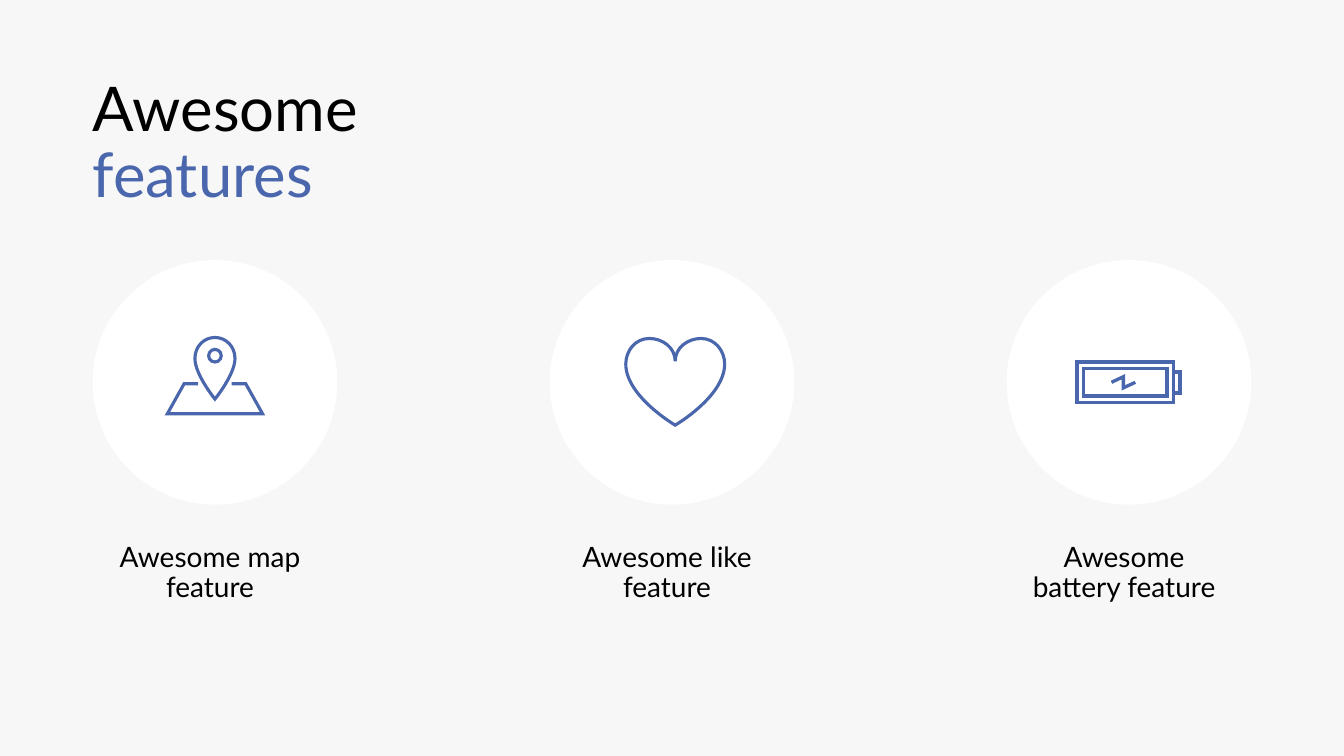
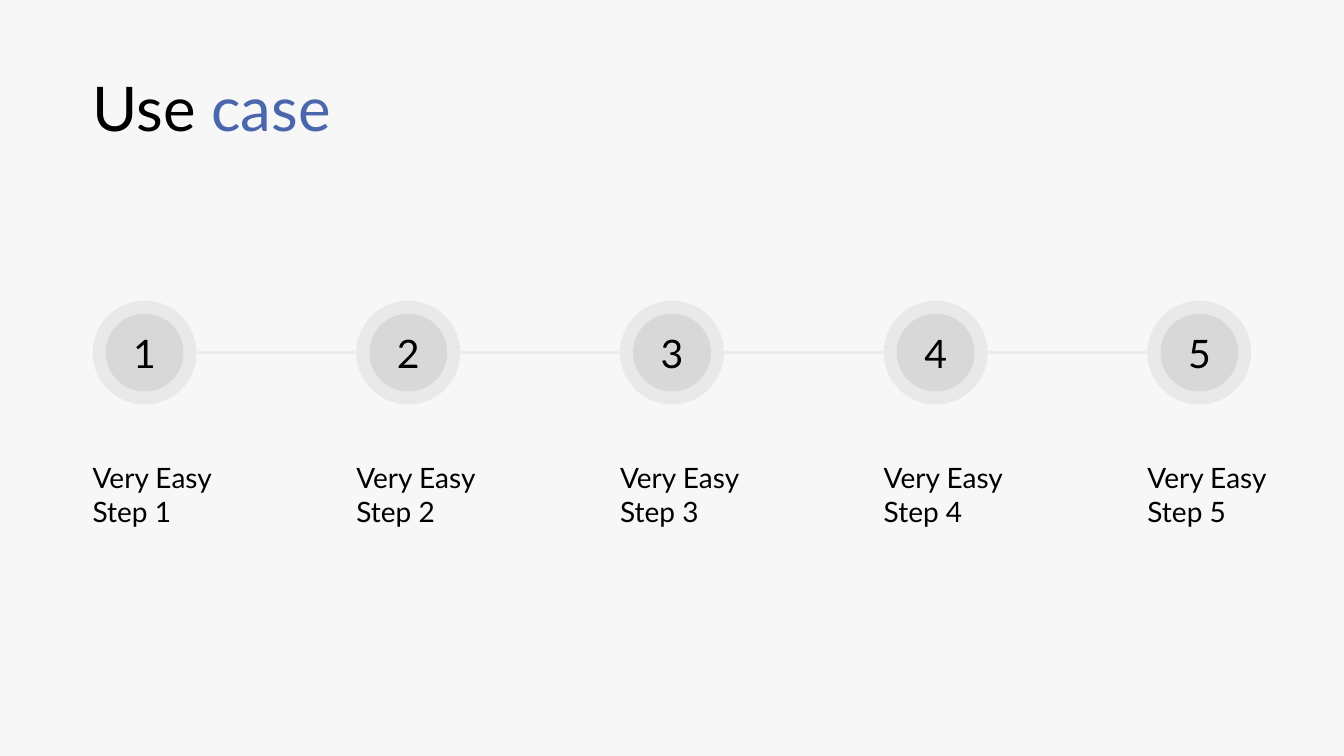
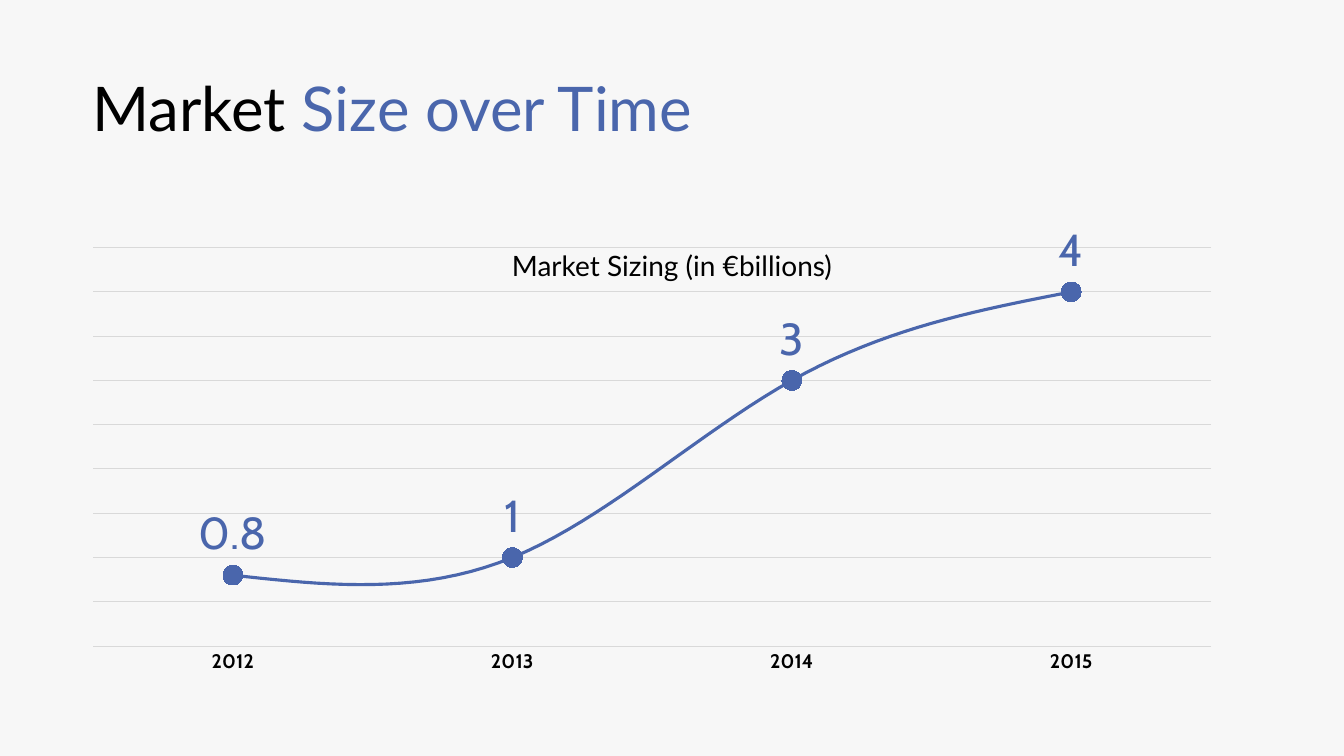
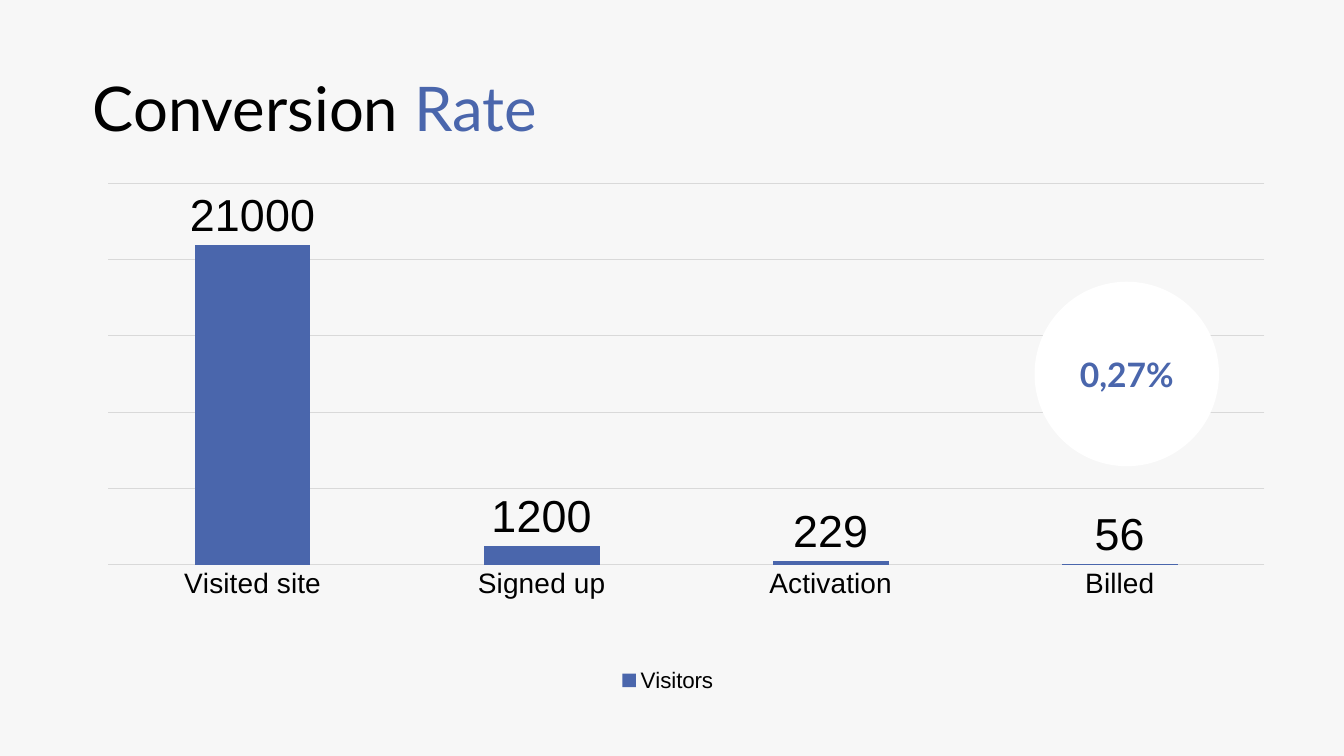
"""Build four pitch slides: features, use case, market size and conversion rate."""
from lxml import etree
from pptx import Presentation
from pptx.chart.data import CategoryChartData
from pptx.dml.color import RGBColor
from pptx.enum.chart import (XL_CHART_TYPE, XL_LABEL_POSITION, XL_LEGEND_POSITION,
                             XL_MARKER_STYLE, XL_TICK_LABEL_POSITION, XL_TICK_MARK)
from pptx.enum.shapes import MSO_CONNECTOR, MSO_SHAPE
from pptx.enum.text import MSO_ANCHOR, MSO_AUTO_SIZE, PP_ALIGN
from pptx.oxml.ns import qn
from pptx.util import Pt

COLORS = {"page": "F7F7F7", "accent": "4A66AC", "ink": "000000", "disc": "FFFFFF",
          "step": "D8D8D8", "link": "EDECEC", "grid": "D9D9D9"}
FONT = "Lato"
LEFT, RIGHT = 66.2, 893.8


def rgb(name):
    return RGBColor.from_string(COLORS[name])


def set_font(font, size, color="ink", name=FONT, bold=False):
    font.name, font.size, font.bold = name, Pt(size), bold
    font.color.rgb = rgb(color)


def set_frame(frame, left_inset=0):
    frame.word_wrap = True
    frame.auto_size = MSO_AUTO_SIZE.SHAPE_TO_FIT_TEXT
    frame.vertical_anchor = MSO_ANCHOR.TOP
    frame.margin_left, frame.margin_right = Pt(left_inset), Pt(7.2)
    frame.margin_top = frame.margin_bottom = Pt(3.6)


def add_text(slide, box, text, align=PP_ALIGN.LEFT, spacing=1.0, left_inset=0):
    frame = slide.shapes.add_textbox(*map(Pt, box)).text_frame
    set_frame(frame, left_inset)
    paragraph = frame.paragraphs[0]
    paragraph.text, paragraph.alignment, paragraph.line_spacing = text, align, spacing
    set_font(paragraph.font, 20)


def add_slide(prs, lead, accent, title_width=353):
    slide = prs.slides.add_slide(prs.slide_layouts[5])
    title = slide.shapes.title
    title.left, title.top, title.width, title.height = map(Pt, (LEFT, 52, title_width, 55))
    set_frame(title.text_frame)
    paragraph = title.text_frame.paragraphs[0]
    paragraph.alignment, paragraph.line_spacing = PP_ALIGN.LEFT, 0.9
    paragraph.font.name, paragraph.font.size = FONT, Pt(44)
    for text, color in ((lead, "ink"), (accent, "accent")):
        run = paragraph.add_run()
        run.text = text
        run.font.color.rgb = rgb(color)
    return slide


def add_disc(shapes, left, top, size, color, text=None, font_size=28,
             text_color="ink", bold=False, alpha=None):
    disc = shapes.add_shape(MSO_SHAPE.OVAL, *map(Pt, (left, top, size, size)))
    disc.shadow.inherit = False
    disc.fill.solid()
    disc.fill.fore_color.rgb = rgb(color)
    disc.line.fill.background()
    if alpha:
        srgb = disc.fill._xPr.find(".//" + qn("a:srgbClr"))
        etree.SubElement(srgb, qn("a:alpha"), val=str(alpha * 1000))
    if text:
        disc.text_frame.vertical_anchor = MSO_ANCHOR.MIDDLE
        paragraph = disc.text_frame.paragraphs[0]
        paragraph.text, paragraph.alignment = text, PP_ALIGN.CENTER
        set_font(paragraph.font, font_size, text_color, bold=bold)


def outline(shape, width=2.25):
    shape.shadow.inherit = False
    shape.fill.background()
    shape.line.color.rgb = rgb("accent")
    shape.line.width = Pt(width)
    etree.SubElement(shape.line._get_or_add_ln(), qn("a:miter"), lim="800000")


def add_preset(shapes, preset, x, y, width, height, line_width=2.25):
    outline(shapes.add_shape(preset, *map(Pt, (x, y, width, height))), line_width)


def add_path(shapes, x, y, points, close=False, line_width=2.25):
    start, *rest = [(Pt(x + px), Pt(y + py)) for px, py in points]
    builder = shapes.build_freeform(*start)
    builder.add_line_segments(rest, close=close)
    shape = builder.convert_to_shape()
    outline(shape, line_width)
    return shape


def add_curve(shapes, x, y, points):
    """Add a closed outline whose points after the first are cubic triples."""
    shape = add_path(shapes, x, y, points, close=True)
    corners = list(shape._element.iter(qn("a:lnTo")))
    for index in range(0, len(corners), 3):
        cubic = etree.Element(qn("a:cubicBezTo"))
        corners[index].addprevious(cubic)
        for corner in corners[index:index + 3]:
            cubic.append(corner[0])
            corner.getparent().remove(corner)


def draw_map(slide, x, y):
    shapes = slide.shapes.add_group_shape().shapes
    add_preset(shapes, MSO_SHAPE.OVAL, x - 4.5, y - 23.5, 9, 9)
    add_curve(shapes, x, y, [(14.3, -17),
                             (14.3, -25.5), (8, -32), (0, -32),
                             (-8, -32), (-14.3, -25.5), (-14.3, -17),
                             (-14.3, -5.5), (0, 12), (0, 12),
                             (0, 12), (14.3, -5.5), (14.3, -17)])
    add_path(shapes, x, y, [(-12, 1), (-22, 1), (-34, 22.5), (0, 22.5),
                            (34, 22.5), (22, 1), (12, 1)])


def draw_heart(slide, x, y):
    add_curve(slide.shapes, x + 2.3, y, [(-35.3, -13),
                                         (-35.3, 10), (0, 30.6), (0, 30.6),
                                         (0, 30.6), (35.3, 10), (35.3, -13),
                                         (35.3, -22.5), (28.5, -31.3), (18.5, -31.3),
                                         (9, -31.3), (0, -24.8), (0, -15),
                                         (0, -24.8), (-9, -31.3), (-18.5, -31.3),
                                         (-28.5, -31.3), (-35.3, -22.5), (-35.3, -13)])


def draw_battery(slide, x, y):
    shapes = slide.shapes.add_group_shape().shapes
    width = 2.37
    add_preset(shapes, MSO_SHAPE.RECTANGLE, x - 37, y - 14.5, 69, 29, width)
    add_path(shapes, x, y, [(32, -7.5), (36.5, -7.5), (36.5, 7.5), (32, 7.5)],
             line_width=width)
    add_preset(shapes, MSO_SHAPE.RECTANGLE, x - 32.5, y - 9.75, 59.75, 19.5, width)
    add_path(shapes, x, y, [(-12.5, 0), (-4, -4), (-4, 4), (4.5, 0)], line_width=width)


def add_feature(slide, left, top, size, label, draw_icon):
    add_disc(slide.shapes, left, top, size, "disc")
    draw_icon(slide, left + size / 2, top + size / 2)
    add_text(slide, (left + 8, top + 198.5, size - 16, 51), label, PP_ALIGN.CENTER, 0.9)


def add_step(slide, left, top, size, number):
    badge = slide.shapes.add_group_shape().shapes
    inset = size / 8
    add_disc(badge, left + inset, top + inset, size - 2 * inset, "step")
    add_disc(badge, left, top, size, "step", str(number), alpha=42)
    add_text(slide, (left, top + 111, 122, 55), f"Very Easy Step {number}")


def add_link(slide, start, end, y):
    link = slide.shapes.add_connector(MSO_CONNECTOR.STRAIGHT, *map(Pt, (start, y, end, y)))
    link.line.color.rgb = rgb("link")
    link.line.width = Pt(2.25)
    etree.SubElement(link._element.spPr, qn("a:effectLst"))


def set_layout(parent, position, **settings):
    for old in parent.findall(qn("c:layout")):
        parent.remove(old)
    layout = etree.Element(qn("c:layout"))
    parent.insert(position, layout)
    manual = etree.SubElement(layout, qn("c:manualLayout"))
    for tag, value in settings.items():
        etree.SubElement(manual, qn("c:" + tag), val=str(value))


def add_value_chart(slide, kind, box, area, name, values, top_value, unit,
                    axis_font, label_font, label_position):
    """Add a one-series chart with value labels and no value axis; return the chart."""
    data = CategoryChartData()
    data.categories = list(values)
    data.add_series(name, list(values.values()))
    chart = slide.shapes.add_chart(kind, *map(Pt, box), data).chart
    chart.has_title = chart.has_legend = False
    set_font(chart.font, 10, name="Arial")
    x, y, width, height = area
    set_layout(chart._chartSpace.find(".//" + qn("c:plotArea")), 0, layoutTarget="inner",
               xMode="edge", yMode="edge", x=x, y=y, w=width, h=height)

    categories, scale = chart.category_axis, chart.value_axis
    categories.major_tick_mark = categories.minor_tick_mark = XL_TICK_MARK.NONE
    categories.tick_label_position = XL_TICK_LABEL_POSITION.NEXT_TO_AXIS
    set_font(categories.tick_labels.font, **axis_font)
    scale.visible = False
    scale.major_tick_mark = scale.minor_tick_mark = XL_TICK_MARK.NONE
    scale.minimum_scale, scale.maximum_scale, scale.major_unit = 0, top_value, unit
    scale.has_major_gridlines = True
    for line in (categories.format.line, scale.major_gridlines.format.line):
        line.color.rgb = rgb("grid")
        line.width = Pt(0.75)

    plot = chart.plots[0]
    plot.vary_by_categories = False
    plot.has_data_labels = True
    labels = plot.data_labels
    labels.show_value, labels.position = True, label_position
    set_font(labels.font, **label_font)
    return chart


def build_features(prs):
    slide = add_slide(prs, "Awesome ", "features")
    features = (("Awesome map feature", draw_map), ("Awesome like feature", draw_heart),
                ("Awesome battery feature", draw_battery))
    size = 174.7
    pitch = (RIGHT - LEFT - size) / (len(features) - 1)
    for index, (label, draw_icon) in enumerate(features):
        add_feature(slide, LEFT + index * pitch, 185.75, size, label, draw_icon)


def build_use_case(prs):
    slide = add_slide(prs, "Use ", "case")
    count, size, top = 5, 74.2, 214.75
    pitch = (RIGHT - LEFT - size) / (count - 1)
    for index in range(count):
        left = LEFT + index * pitch
        add_step(slide, left, top, size, index + 1)
        if index < count - 1:
            add_link(slide, left + size, left + pitch, top + size / 2)


def build_market(prs):
    slide = add_slide(prs, "Market ", "Size over Time", 490)
    chart = add_value_chart(
        slide, XL_CHART_TYPE.LINE_MARKERS, (50, 134.6, 827.5, 378),
        (0.02, 0.112, 0.965, 0.753), "Series 1",
        {"2012": 0.8, "2013": 1, "2014": 3, "2015": 4}, 4.5, 0.5,
        {"size": 14, "name": "Cabin", "bold": True},
        {"size": 32, "name": "Cabin", "color": "accent"}, XL_LABEL_POSITION.ABOVE)
    trend = chart.plots[0].series[0]
    trend.smooth = True
    trend.format.line.width = Pt(2.25)
    trend.marker.style, trend.marker.size = XL_MARKER_STYLE.CIRCLE, 14
    trend.marker.format.fill.solid()
    trend.marker.format.fill.fore_color.rgb = rgb("accent")
    for line in (trend.format.line, trend.marker.format.line):
        line.color.rgb = rgb("accent")
    add_text(slide, (308, 174.25, 344, 31.5), "Market Sizing (in €billions)",
             PP_ALIGN.CENTER, left_inset=7.2)


def build_conversion(prs):
    slide = add_slide(prs, "Conversion ", "Rate")
    chart = add_value_chart(
        slide, XL_CHART_TYPE.COLUMN_CLUSTERED, (66.2, 120.2, 848, 378.5),
        (0.013, 0.029, 0.974, 0.719), "Visitors",
        {"Visited site": 21000, "Signed up": 1200, "Activation": 229, "Billed": 56},
        25000, 5000, {"size": 20, "name": "Arial"}, {"size": 32, "name": "Arial"},
        XL_LABEL_POSITION.OUTSIDE_END)
    chart.plots[0].gap_width = 150
    visitors = chart.plots[0].series[0]
    visitors.format.fill.solid()
    visitors.format.fill.fore_color.rgb = rgb("accent")
    chart.has_legend = True
    chart.legend.position = XL_LEGEND_POSITION.BOTTOM
    chart.legend.include_in_layout = False
    set_font(chart.legend.font, 16, name="Arial")
    set_layout(chart.legend._element, 1, xMode="edge", yMode="edge", x=0.44, y=0.94)
    add_disc(slide.shapes, 739, 201.25, 131.75, "disc", "0,27%", 24, "accent", bold=True)


def main():
    prs = Presentation()
    prs.slide_width, prs.slide_height = Pt(960), Pt(540)
    backdrop = prs.slide_master.background.fill
    backdrop.solid()
    backdrop.fore_color.rgb = rgb("page")
    for build in (build_features, build_use_case, build_market, build_conversion):
        build(prs)
    prs.save("out.pptx")


if __name__ == "__main__":
    main()
